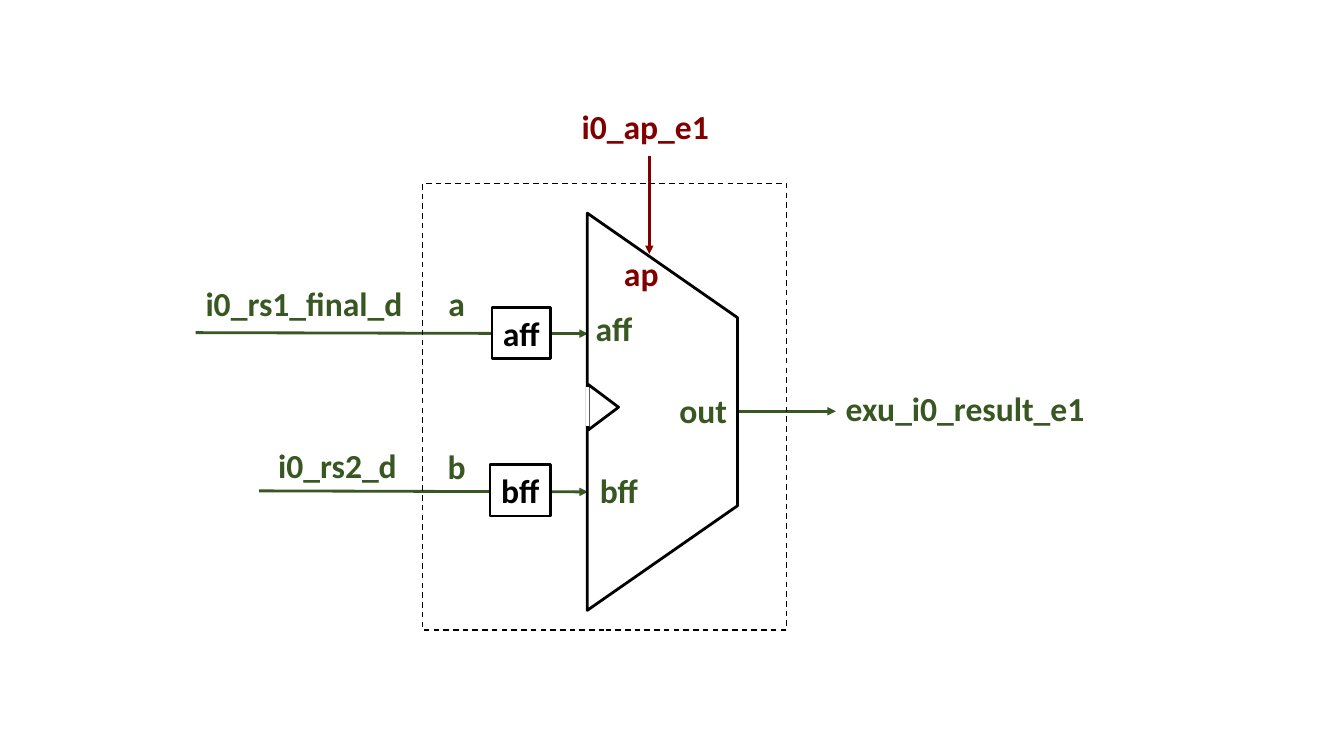
from dataclasses import dataclass
from typing import Optional

from lxml.etree import SubElement
from pptx import Presentation
from pptx.dml.color import RGBColor
from pptx.enum.dml import MSO_LINE_DASH_STYLE as Dash
from pptx.enum.shapes import MSO_CONNECTOR as Connector, MSO_SHAPE as Preset
from pptx.enum.text import MSO_ANCHOR as Anchor, MSO_AUTO_SIZE as AutoSize, PP_ALIGN as Align
from pptx.oxml.ns import qn
from pptx.shapes.autoshape import Shape
from pptx.slide import Slide
from pptx.text.text import TextFrame
from pptx.util import Inches, Pt


@dataclass(frozen=True)
class Theme:
    font: str = "Calibri"
    text_size: int = 24
    line_width: float = 2
    frame_width: float = 1
    data: RGBColor = RGBColor(0x38, 0x57, 0x23)
    control: RGBColor = RGBColor(0x80, 0x00, 0x00)
    ink: RGBColor = RGBColor(0x00, 0x00, 0x00)
    paper: RGBColor = RGBColor(0xFF, 0xFF, 0xFF)


THEME = Theme()


@dataclass(frozen=True)
class Wire:
    start: tuple[float, float]
    end: tuple[float, float]
    color: RGBColor = THEME.data
    arrow: bool = True


@dataclass(frozen=True)
class Label:
    text: str
    left: float
    top: float
    width: float
    color: RGBColor = THEME.data


@dataclass(frozen=True)
class Block:
    preset: Preset
    left: float
    top: float
    width: float
    height: float
    text: str = ""
    rotation: float = 0
    fill: Optional[RGBColor] = None
    line_width: float = THEME.line_width


LABEL_HEIGHT = 0.5
ALU_LEFT, ALU_RIGHT = 5.83, 7.32

WIRES = [
    Wire((1.94, 3.3), (ALU_LEFT, 3.31)),
    Wire((2.57, 4.87), (ALU_LEFT, 4.88)),
    Wire((ALU_RIGHT, 4.08), (8.29, 4.08)),
    Wire((6.44, 1.55), (6.44, 2.52), THEME.control),
]
ALU = Block(Preset.TRAPEZOID, 4.6, 3.34, 3.94, 1.49, rotation=90)
CLOCK = Block(Preset.ISOSCELES_TRIANGLE, 5.76, 3.89, 0.45, 0.3, rotation=90, fill=THEME.paper)
CLOCK_GAP = Wire((ALU_LEFT, 3.84), (ALU_LEFT, 4.23), THEME.paper, arrow=False)
FLIP_FLOPS = [
    Block(Preset.RECTANGLE, 4.88, 3.05, 0.58, 0.51, "aff", fill=THEME.paper),
    Block(Preset.RECTANGLE, 4.86, 4.61, 0.6, 0.51, "bff", fill=THEME.paper),
]
LABELS = [
    Label("i0_ap_e1", 5.67, 1, 1.48, THEME.control),
    Label("ap", 6.09, 2.46, 0.55, THEME.control),
    Label("i0_rs1_final_d", 1.94, 2.76, 2.25),
    Label("a", 4.35, 2.76, 0.37),
    Label("aff", 5.81, 3.01, 0.58),
    Label("i0_rs2_d", 2.66, 4.36, 1.39),
    Label("b", 4.34, 4.37, 0.38),
    Label("bff", 5.85, 4.61, 0.59),
    Label("out", 6.64, 3.82, 0.68),
    Label("exu_i0_result_e1", 8.29, 3.8, 2.6),
]
MODULE_FRAME = Block(Preset.RECTANGLE, 4.19, 1.82, 3.61, 4.43, line_width=THEME.frame_width)


def write(frame: TextFrame, text: str, color: RGBColor) -> None:
    run = frame.paragraphs[0].add_run()
    run.text = text
    run.font.name = THEME.font
    run.font.size = Pt(THEME.text_size)
    run.font.bold = True
    run.font.color.rgb = color


def draw_wire(slide: Slide, wire: Wire) -> None:
    points = [Inches(value) for value in (*wire.start, *wire.end)]
    connector = slide.shapes.add_connector(Connector.STRAIGHT, *points)
    connector.line.color.rgb = wire.color
    connector.line.width = Pt(THEME.line_width)
    properties = connector._element.spPr
    if wire.arrow:
        SubElement(properties.find(qn("a:ln")), qn("a:tailEnd"), type="triangle")
    SubElement(properties, qn("a:effectLst"))


def draw_block(slide: Slide, block: Block) -> Shape:
    bounds = [Inches(value) for value in (block.left, block.top, block.width, block.height)]
    shape = slide.shapes.add_shape(block.preset, *bounds)
    shape.shadow.inherit = False
    shape.rotation = block.rotation
    if block.fill is None:
        shape.fill.background()
    else:
        shape.fill.solid()
        shape.fill.fore_color.rgb = block.fill
    shape.line.color.rgb = THEME.ink
    shape.line.width = Pt(block.line_width)
    if block.text:
        frame = shape.text_frame
        frame.word_wrap = False
        frame.vertical_anchor = Anchor.MIDDLE
        frame.paragraphs[0].alignment = Align.CENTER
        write(frame, block.text, THEME.ink)
    return shape


def draw_label(slide: Slide, label: Label) -> None:
    bounds = [Inches(value) for value in (label.left, label.top, label.width, LABEL_HEIGHT)]
    frame = slide.shapes.add_textbox(*bounds).text_frame
    frame.word_wrap = False
    frame.auto_size = AutoSize.SHAPE_TO_FIT_TEXT
    write(frame, label.text, label.color)


def main() -> None:
    presentation = Presentation()
    presentation.slide_width = Inches(13.33)
    presentation.slide_height = Inches(7.5)
    slide = presentation.slides.add_slide(presentation.slide_layouts[6])

    # Signals run behind the blocks
    for wire in WIRES:
        draw_wire(slide, wire)

    # ALU with its clock notch
    draw_block(slide, ALU).adjustments[0] = 0.696
    draw_block(slide, CLOCK)
    draw_wire(slide, CLOCK_GAP)

    # Input flip-flops and signal names
    for flip_flop in FLIP_FLOPS:
        draw_block(slide, flip_flop)
    for label in LABELS:
        draw_label(slide, label)

    # Module boundary
    draw_block(slide, MODULE_FRAME).line.dash_style = Dash.DASH

    presentation.save("out.pptx")


if __name__ == "__main__":
    main()
